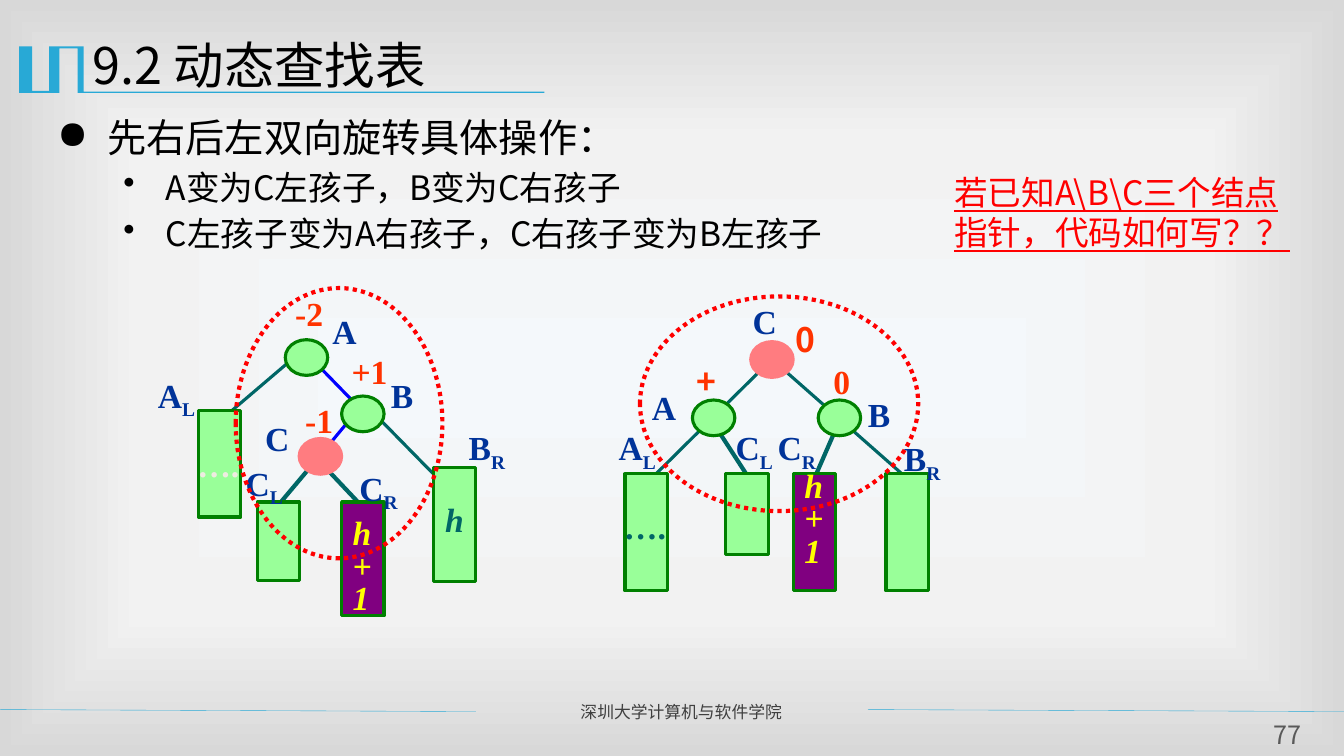
"""Build the slide on double rotation in a balanced search tree."""
import pptx
import pptx.dml.color
import pptx.enum.dml
import pptx.enum.shapes
import pptx.enum.text
import pptx.oxml
import pptx.oxml.ns
import pptx.util
import lxml.etree

Cm, Pt = pptx.util.Cm, pptx.util.Pt
RGB = pptx.dml.color.RGBColor.from_string
SHAPE = pptx.enum.shapes.MSO_SHAPE
ALIGN = pptx.enum.text.PP_ALIGN
ANCHOR = pptx.enum.text.MSO_ANCHOR
qn = pptx.oxml.ns.qn


class Theme:
    sans, serif = "Noto Sans CJK SC", "Times New Roman"
    title, head, body, page, foot = 36, 28, 24, 18, 12
    leading = 1.19
    black, gray, dark = "000000", "595959", "3F3F3F"
    accent, red, orange = "28A9D6", "FF0000", "FF3300"
    navy, teal, blue, yellow = "003399", "006666", "0000FF", "FFFF00"
    green, edge, purple, pink, cream = "99FF99", "008000", "800080", "FF7C80", "EEECE1"
    back = ((0, "F4F8FB"), (63, "F2F2F2"), (100, "D8D8D8"))


def write(par, text, size, ink, face=Theme.sans, bold=False, slant=False, lead=None):
    """Fill a paragraph and set its font."""
    par.add_run().text = text
    par.line_spacing = lead or (Pt(size * Theme.leading) if face == Theme.sans else 1.0)
    font = par.font
    font.size, font.name, font.bold, font.italic = Pt(size), face, bold, slant
    font.color.rgb = RGB(ink)
    props = par._p.get_or_add_pPr().find(qn("a:defRPr"))
    lxml.etree.SubElement(props, qn("a:ea")).set("typeface", face)


def frame(left, top, width, height, wrap=True):
    """Add a text box and return its text frame."""
    area = slide.shapes.add_textbox(Cm(left), Cm(top), Cm(width), Cm(height)).text_frame
    area.word_wrap = wrap
    return area


deck = pptx.Presentation()
deck.slide_width, deck.slide_height = Cm(33.87), Cm(19.05)
slide = deck.slides.add_slide(deck.slide_layouts[6])

stops = "".join(f'<a:gs pos="{at * 1000}"><a:srgbClr val="{ink}"/></a:gs>' for at, ink in Theme.back)
slide.background.fill.solid()
back = slide._element.cSld.find(qn("p:bg")).find(qn("p:bgPr"))
back.remove(back[0])
back.insert(0, pptx.oxml.parse_xml(
    f'<a:gradFill {pptx.oxml.ns.nsdecls("a")} rotWithShape="1"><a:gsLst>{stops}</a:gsLst><a:path path="rect">'
    '<a:fillToRect l="50000" t="50000" r="50000" b="50000"/></a:path></a:gradFill>'))

outline = [(208, 117), (211, 117), (211, 231), (1372, 231), (1372, 234), (196, 234), (196, 122), (150, 122),
           (150, 234), (48, 234), (48, 117), (81, 117), (81, 229), (124, 229), (124, 117)]
pen = slide.shapes.build_freeform(*outline[0], scale=float(Cm(0.01)))
pen.add_line_segments(outline[1:])
mark = pen.convert_to_shape()
mark.shadow.inherit = False
mark.fill.solid()
mark.fill.fore_color.rgb = RGB(Theme.accent)
mark.line.fill.background()

area = frame(2.08, 0.53, 30.48, 2.21)
area.vertical_anchor = ANCHOR.MIDDLE
write(area.paragraphs[0], "9.2 动态查找表", Theme.title, Theme.black)

area = frame(1.19, 2.74, 30.81, 4.65)
points = [("●", 1.27, 1.27, Theme.head, "先右后左双向旋转具体操作："),
          ("•", 2.74, 1.07, Theme.body, "A变为C左孩子，B变为C右孩子"),
          ("•", 2.74, 1.07, Theme.body, "C左孩子变为A右孩子，C右孩子变为B左孩子")]
for row, (sign, margin, hang, size, text) in enumerate(points):
    par = area.add_paragraph() if row else area.paragraphs[0]
    props = par._p.get_or_add_pPr()
    props.set("marL", str(Cm(margin)))
    props.set("indent", str(-Cm(hang)))
    lxml.etree.SubElement(props, qn("a:buChar")).set("char", sign)
    if row:
        par.space_before = Pt(size * 0.2)
    write(par, text, size, Theme.black)

par = frame(22.53, 4.22, 10.46, 2.57).paragraphs[0]
par._p.get_or_add_pPr().set("marL", str(Cm(1.27)))
write(par, "若已知A\\B\\C三个结点指针，代码如何写？？", Theme.body, Theme.red)
par.font.underline = True

write(frame(14.38, 17.55, 7.24, 0.76).paragraphs[0], "深圳大学计算机与软件学院", Theme.foot, Theme.dark)
area = frame(31.7, 18.13, 1.5, 0.79)
area.margin_left = area.margin_right = area.margin_top = area.margin_bottom = 0
area.paragraphs[0].alignment = ALIGN.CENTER
write(area.paragraphs[0], "77", Theme.page, Theme.gray)

thin, thick = 2.25, 3
lines = [
    (0, 17.88, 11.99, 17.93, Theme.accent, 0.25),
    (21.87, 17.88, 33.87, 17.93, Theme.accent, 0.25),
    (7.98, 11.58, 6.91, 12.85, Theme.teal, thick),
    (8.18, 11.76, 9.02, 12.65, Theme.teal, thick),
    (7.34, 9.07, 5.44, 10.69, Theme.teal, thin),
    (9.45, 10.44, 10.92, 11.94, Theme.teal, thin),
    (8.86, 10.52, 7.98, 11.58, Theme.blue, thin),
    (7.98, 9.17, 9.02, 10.24, Theme.blue, thin),
    (21.06, 10.82, 20.42, 12.29, Theme.teal, thick),
    (18.08, 10.82, 18.92, 12.12, Theme.teal, thick),
    (19.79, 9.35, 22.73, 11.94, Theme.teal, thin),
    (19.15, 9.35, 16.18, 12.29, Theme.teal, thin),
]
for *ends, ink, width in lines:
    line = slide.shapes.add_connector(pptx.enum.shapes.MSO_CONNECTOR.STRAIGHT, *map(Cm, ends))
    line.line.color.rgb = RGB(ink)
    line.line.width = Pt(width)
    lxml.etree.SubElement(line._element.spPr, qn("a:effectLst"))

side = 1.07
bars = [(5, 10.34, 2.69, Theme.green, "….", Theme.cream, 1.0), (6.48, 12.65, 1.98, Theme.green, "", "", 0),
        (8.61, 12.65, 2.87, Theme.purple, "", "", 0), (10.92, 11.79, 2.87, Theme.green, "h", Theme.teal, 0.6),
        (15.75, 11.94, 2.95, Theme.green, "….", Theme.teal, 0.6), (18.29, 11.94, 2.03, Theme.green, "", "", 0),
        (19.99, 11.94, 2.95, Theme.purple, "", "", 0), (22.33, 11.94, 2.95, Theme.green, "", "", 0)]
nodes = [(7.19, 8.56, Theme.green), (8.61, 9.98, Theme.green), (7.54, 11.05, Theme.pink),
         (18.92, 8.61, Theme.pink), (17.45, 10.08, Theme.green), (20.62, 10.08, Theme.green)]
parts = [(SHAPE.RECTANGLE, *bar) for bar in bars]
parts += [(SHAPE.OVAL, left, top, 0.9, ink, "", "", 0) for left, top, ink in nodes]
for kind, left, top, height, ink, text, tint, lead in parts:
    part = slide.shapes.add_shape(kind, Cm(left), Cm(top), Cm(side), Cm(height))
    part.shadow.inherit = False
    part.fill.solid()
    part.fill.fore_color.rgb = RGB(ink)
    part.line.color.rgb = RGB(Theme.pink if ink == Theme.pink else Theme.edge)
    part.line.width = Pt(thin)
    if text:
        part.text_frame.word_wrap = False
        part.text_frame.vertical_anchor = ANCHOR.MIDDLE
        par = part.text_frame.paragraphs[0]
        par.alignment = ALIGN.CENTER
        write(par, text, Theme.body, tint, Theme.serif, True, True, lead)

labels = [("A", 8.13, 7.7), ("B", 9.6, 9.32), ("C", 6.43, 10.41), ("AL", 3.73, 9.32), ("CL", 5.94, 11.53),
          ("CR", 8.81, 11.66), ("BR", 11.56, 10.64), ("C", 18.72, 7.47), ("A", 16.18, 9.63), ("B", 21.62, 9.8),
          ("AL", 15.34, 10.64), ("CL", 18.29, 10.64), ("CR", 19.35, 10.64), ("BR", 22.53, 10.92)]
for text, left, top in labels:
    par = frame(left, top, 1.5 if text[1:] else 1.12, 1.27, False).paragraphs[0]
    write(par, text[0], Theme.body, Theme.navy, Theme.serif, True)
    if text[1:]:
        sub = par.add_run()
        sub.text = text[1:]
        sub._r.get_or_add_rPr().set("baseline", "-25000")

factors = [("-2", 7.19, 7.26, 1.22, Theme.serif), ("+1", 8.61, 8.71, 1.42, Theme.serif),
           ("-1", 7.44, 9.96, 1.22, Theme.serif), ("0", 19.79, 7.92, 0.94, Theme.sans),
           ("+", 17.3, 8.97, 0.94, Theme.sans), ("0", 20.75, 8.97, 0.94, Theme.serif)]
for text, left, top, width, face in factors:
    write(frame(left, top, width, 1.27, False).paragraphs[0], text, Theme.body, Theme.orange, face, True)

for left, top, height in ((8.64, 12.98, 2.72), (20.02, 11.79, 3)):
    area = frame(left, top, 0.99, height, False)
    for row, sign in enumerate("h+1"):
        par = area.add_paragraph() if row else area.paragraphs[0]
        write(par, sign, Theme.body, Theme.yellow, Theme.serif, True, True, 0.8)

for spot in ((5.94, 7.26, 5.21, 6.81), (16.13, 7.47, 7.01, 5.41)):
    ring = slide.shapes.add_shape(SHAPE.OVAL, *map(Cm, spot))
    ring.shadow.inherit = False
    ring.fill.background()
    ring.line.color.rgb = RGB(Theme.red)
    ring.line.width = Pt(thick)
    ring.line.dash_style = pptx.enum.dml.MSO_LINE.ROUND_DOT

deck.save("out.pptx")
